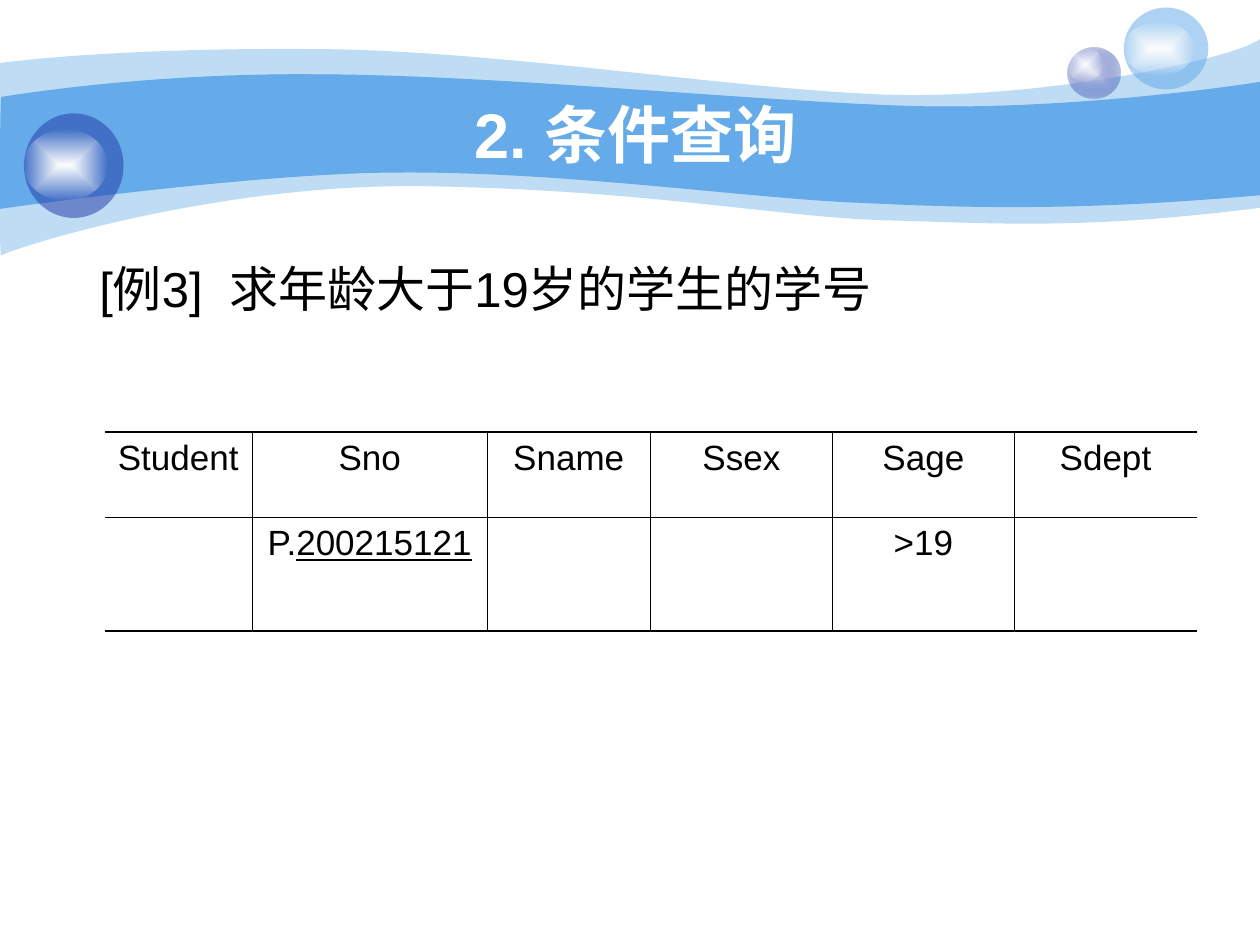
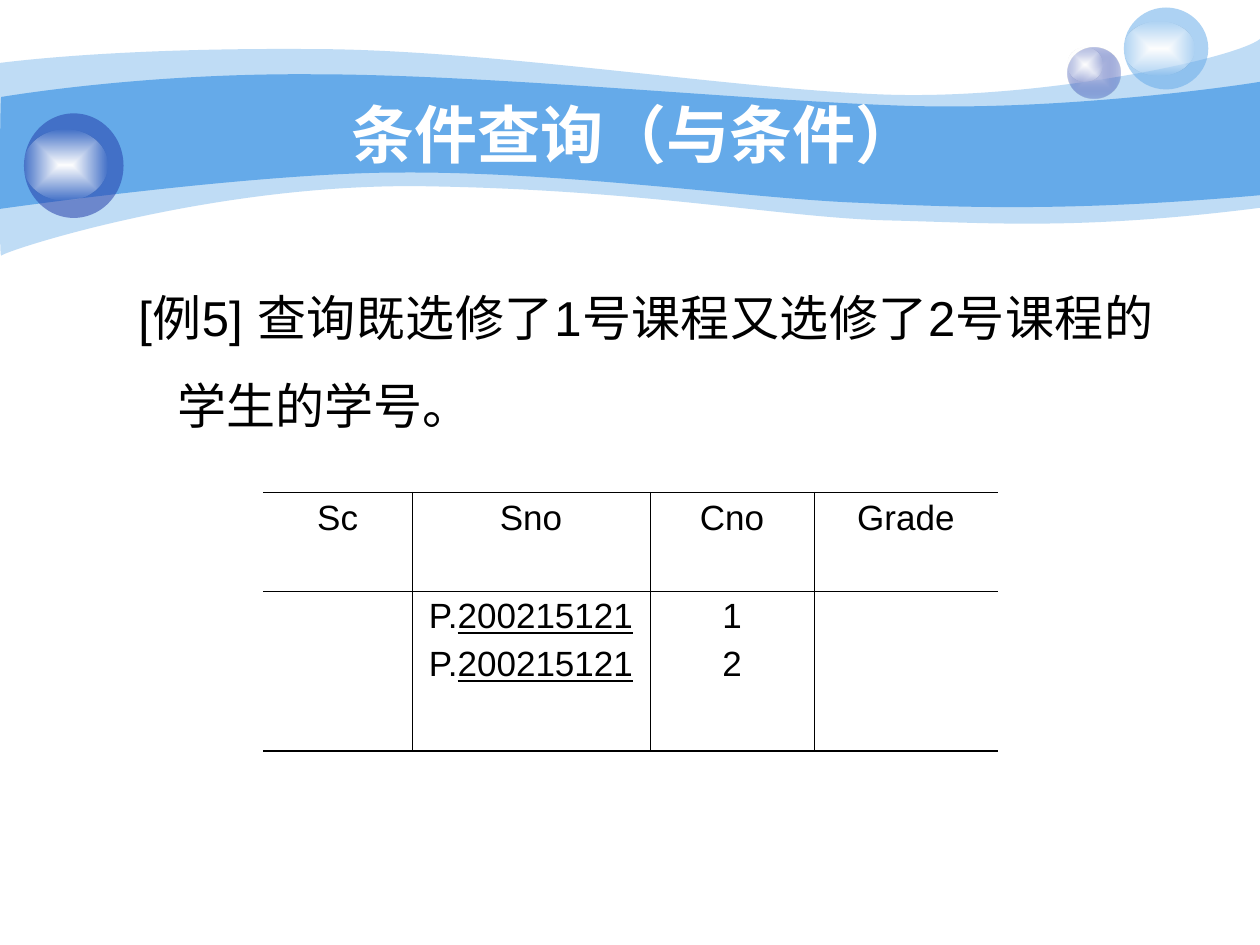
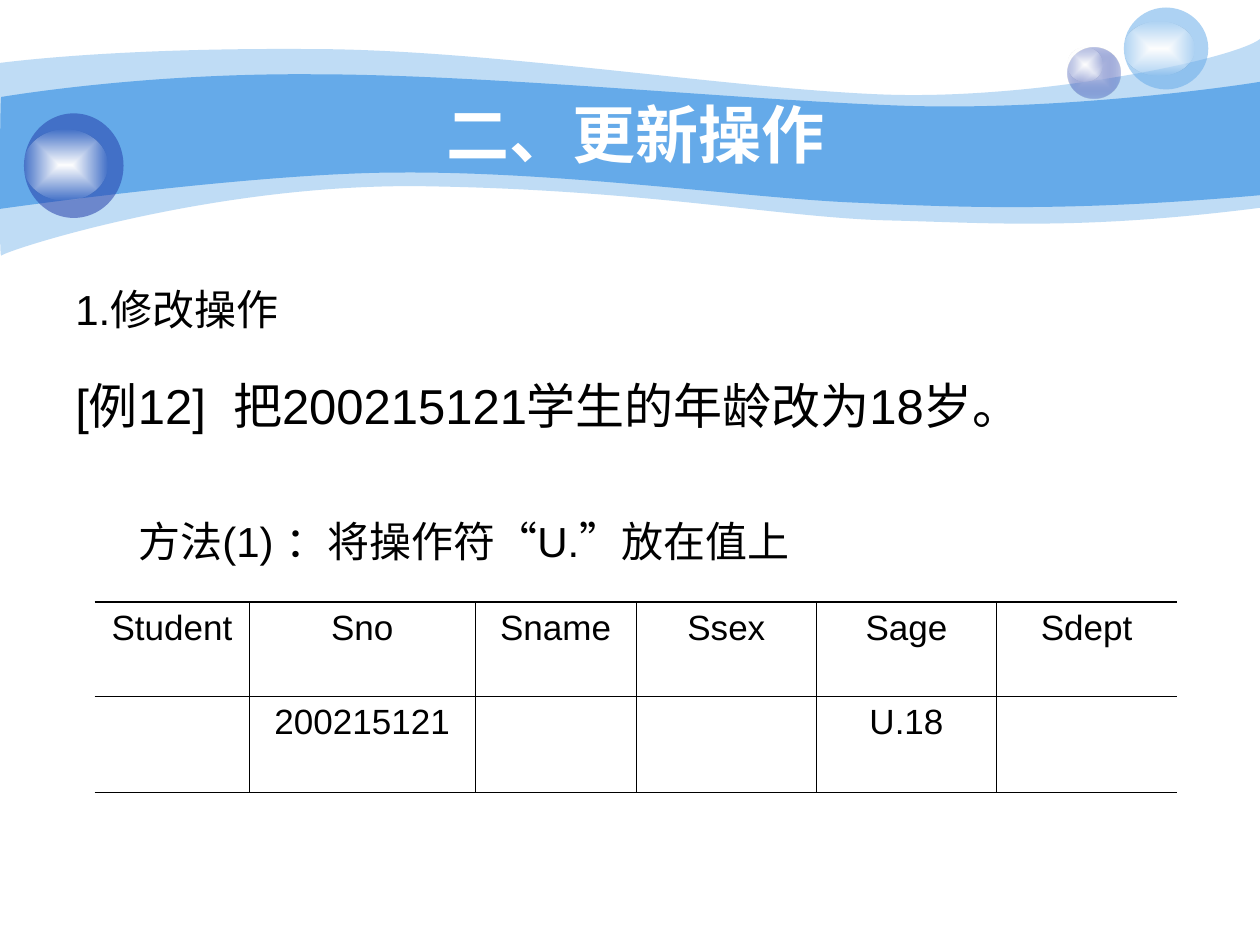
from lxml.etree import SubElement
from pptx import Presentation
from pptx.dml.color import RGBColor
from pptx.enum.shapes import MSO_SHAPE
from pptx.enum.text import MSO_ANCHOR, PP_ALIGN
from pptx.oxml.ns import qn
from pptx.util import Inches, Pt

rgb = RGBColor.from_string
FONT = "Arial"
WHITE, BLACK = "FFFFFF", "000000"
SKY, NAVY, PALE = "65AAE9", "233DA9", "C7CEE9"
THICK, THIN = 1.08, 0.45

# Each wave: start point, then segments of one point (line) or three points (curve)
WAVES = [
    ((0, 0.5), [
        [(0.24, 0.47), (1.07, 0.38), (2.47, 0.39)],
        [(3.86, 0.39), (5.75, 0.7), (6.99, 0.75)],
        [(8.22, 0.8), (9.8, 0.47), (10, 0.31)],
        [(10, 1.65)],
        [(8.58, 1.83), (7.87, 1.77), (7.05, 1.75)],
        [(6.22, 1.73), (5.15, 1.51), (3.43, 1.48)],
        [(1.72, 1.44), (0.04, 1.99), (0.01, 2.03)],
        [(-0.01, 2.08), (0, 0.75), (0, 0.5)],
    ], [(SKY, 41)]),
    ((0.01, 0.77), [
        [(0.02, 0.77), (1.1, 0.58), (2.48, 0.59)],
        [(3.86, 0.59), (5.95, 0.8), (7.18, 0.84)],
        [(8.41, 0.88), (9.76, 0.69), (10, 0.65)],
        [(10, 1.55)],
        [(8.53, 1.68), (7.65, 1.65), (6.82, 1.61)],
        [(5.99, 1.58), (4.47, 1.36), (3.17, 1.37)],
        [(2.03, 1.37), (-0.02, 1.66), (-0.01, 1.66)],
        [(0, 1.66), (0, 0.77), (0.01, 0.77)],
    ], [(SKY, 100)]),
]

GLOW = [(WHITE, 100), (WHITE, 0)]
BUBBLES = [
    ((8.47, 0.38, 0.42, 0.4), [(PALE, 100), (NAVY, 31)]),
    ((8.47, 0.38, 0.28, 0.27), GLOW),
    ((8.92, 0.06, 0.67, 0.65), [(SKY, 53)]),
    ((8.92, 0.17, 0.56, 0.43), GLOW),
    ((0.19, 0.9, 0.79, 0.83), [(NAVY, 53)]),
    ((0.19, 1.03, 0.66, 0.56), GLOW),
]

STUDENT_HEADER = ["Student", "Sno", "Sname", "Ssex", "Sage", "Sdept"]

# Body lines: text, size, left margin, first-line indent, line spacing, space before
SLIDES = [
    {
        "title": "2. 条件查询",
        "body_size": (8.67, 1.36),
        "body": [("[例3]  求年龄大于19岁的学生的学号", 28, 0.19, 0, 1, 0)],
        "table_at": (0.83, 3.43),
        "columns": [1.17, 1.87, 1.29, 1.45, 1.44, 1.45],
        "rows": [0.68, 0.9],
        "cells": [STUDENT_HEADER, ["", "P.200215121", "", "", ">19", ""]],
    },
    {
        "title": "条件查询（与条件）",
        "body_size": (8.75, 1.83),
        "body": [("[例5] 查询既选修了1号课程又选修了2号课程的学生的学号。",
                  28, 0.81, -0.31, 1.5, 0)],
        "table_at": (2.09, 3.91),
        "columns": [1.18, 1.89, 1.3, 1.46],
        "rows": [0.78, 1.27],
        "cells": [["Sc", "Sno", "Cno", "Grade"],
                  ["", "P.200215121\nP.200215121", "1\n2", ""]],
    },
    {
        "title": "二、更新操作",
        "body_size": (8.75, 3.01),
        "body": [
            ("1.修改操作", 24, 0.38, -0.38, 1.5, 0),
            ("[例12]  把200215121学生的年龄改为18岁。", 28, 0.38, -0.38, 1.5, 7),
            ("方法(1) ：将操作符“U.”放在值上", 24, 0.81, -0.31, 1, 46.5),
        ],
        "table_at": (0.75, 4.78),
        "columns": [1.23, 1.79, 1.28, 1.43, 1.43, 1.43],
        "rows": [0.75, 0.76],
        "cells": [STUDENT_HEADER, ["", "200215121", "", "", "U.18", ""]],
    },
]


def paint(shape, stops):
    """Fill with one (colour, opacity) stop, or a gradient from the centre outwards."""
    shape.shadow.inherit = False
    shape.line.fill.background()
    if len(stops) == 1:
        shape.fill.solid()
        shape.fill.fore_color.rgb = rgb(stops[0][0])
        colours = [shape.fill._xPr.find(qn("a:solidFill"))[0]]
    else:
        shape.fill.gradient()
        gradient = shape.fill._xPr.find(qn("a:gradFill"))
        for child in list(gradient):
            gradient.remove(child)
        stop_list = SubElement(gradient, qn("a:gsLst"))
        colours = []
        for index, (colour, _) in enumerate(stops):
            stop = SubElement(stop_list, qn("a:gs"), pos=str(index * 100000))
            colours.append(SubElement(stop, qn("a:srgbClr"), val=colour))
        centre = SubElement(gradient, qn("a:path"), path="rect")
        SubElement(centre, qn("a:fillToRect"), l="50000", t="50000", r="50000", b="50000")
    for colour, (_, opacity) in zip(colours, stops):
        if opacity < 100:
            SubElement(colour, qn("a:alpha"), val=str(opacity * 1000))


def style(paragraph, size, colour, align):
    paragraph.alignment = align
    for run in paragraph.runs:
        run.font.name = FONT
        run.font.size = Pt(size)
        run.font.color.rgb = rgb(colour)


prs = Presentation()
prs.slide_width, prs.slide_height = Inches(10), Inches(7.5)

for content in SLIDES:
    slide = prs.slides.add_slide(prs.slide_layouts[6])

    for start, segments, stops in WAVES:
        builder = slide.shapes.build_freeform(*map(Inches, start))
        builder.add_line_segments(
            [(Inches(x), Inches(y)) for segment in segments for x, y in segment], close=True)
        wave = builder.convert_to_shape()
        paint(wave, stops)
        # Merge each three lines of a curve segment into one cubic curve
        lines = iter(list(wave._element.iter(qn("a:lnTo"))))
        for segment in segments:
            first, *others = [next(lines) for _ in segment]
            if others:
                first.tag = qn("a:cubicBezTo")
            for line in others:
                first.append(line[0])
                line.getparent().remove(line)

    for place, stops in BUBBLES:
        bubble = slide.shapes.add_shape(MSO_SHAPE.OVAL, *map(Inches, place))
        paint(bubble, stops)

    title = slide.shapes.add_textbox(*map(Inches, (1, 0.75, 8.08, 0.62))).text_frame
    title.word_wrap = True
    title.vertical_anchor = MSO_ANCHOR.MIDDLE
    title.text = content["title"]
    style(title.paragraphs[0], 36, WHITE, PP_ALIGN.CENTER)
    title.paragraphs[0].runs[0].font.bold = True

    body = slide.shapes.add_textbox(*map(Inches, (0.5, 2, *content["body_size"]))).text_frame
    body.word_wrap = True
    body.text = "\n".join(line[0] for line in content["body"])
    for paragraph, line in zip(body.paragraphs, content["body"]):
        _, size, margin, indent, spacing, before = line
        style(paragraph, size, BLACK, PP_ALIGN.JUSTIFY)
        paragraph.line_spacing = spacing
        if before:
            paragraph.space_before = Pt(before)
        properties = paragraph._p.get_or_add_pPr()
        properties.set("marL", str(Inches(margin)))
        properties.set("indent", str(Inches(indent)))

    columns, rows = content["columns"], content["rows"]
    table = slide.shapes.add_table(
        len(rows), len(columns), *map(Inches, (*content["table_at"], sum(columns), sum(rows)))
    ).table
    table.first_row = table.horz_banding = False
    for column, width in zip(table.columns, columns):
        column.width = Inches(width)
    for row, height in zip(table.rows, rows):
        row.height = Inches(height)

    for r, entries in enumerate(content["cells"]):
        for c, entry in enumerate(entries):
            cell = table.cell(r, c)
            cell.text = entry
            for index, paragraph in enumerate(cell.text_frame.paragraphs):
                if paragraph.text.startswith("P."):
                    example = paragraph.text[2:]
                    paragraph.text = "P."
                    example_run = paragraph.add_run()
                    example_run.text = example
                    example_run.font.underline = True
                style(paragraph, 20, BLACK, PP_ALIGN.CENTER)
                if index:
                    paragraph.space_before = Pt(5)

            borders = {
                "a:lnL": THIN if c > 0 else 0,
                "a:lnR": THIN if c < len(columns) - 1 else 0,
                "a:lnT": THIN if r > 0 else THICK,
                "a:lnB": THIN if r < len(rows) - 1 else THICK,
            }
            cell_properties = cell._tc.get_or_add_tcPr()
            for side, width in borders.items():
                border = SubElement(cell_properties, qn(side), w=str(Pt(width)))
                if width:
                    ink = SubElement(border, qn("a:solidFill"))
                    SubElement(ink, qn("a:srgbClr"), val=BLACK)
                else:
                    SubElement(border, qn("a:noFill"))
            cell.fill.background()

prs.save("out.pptx")
